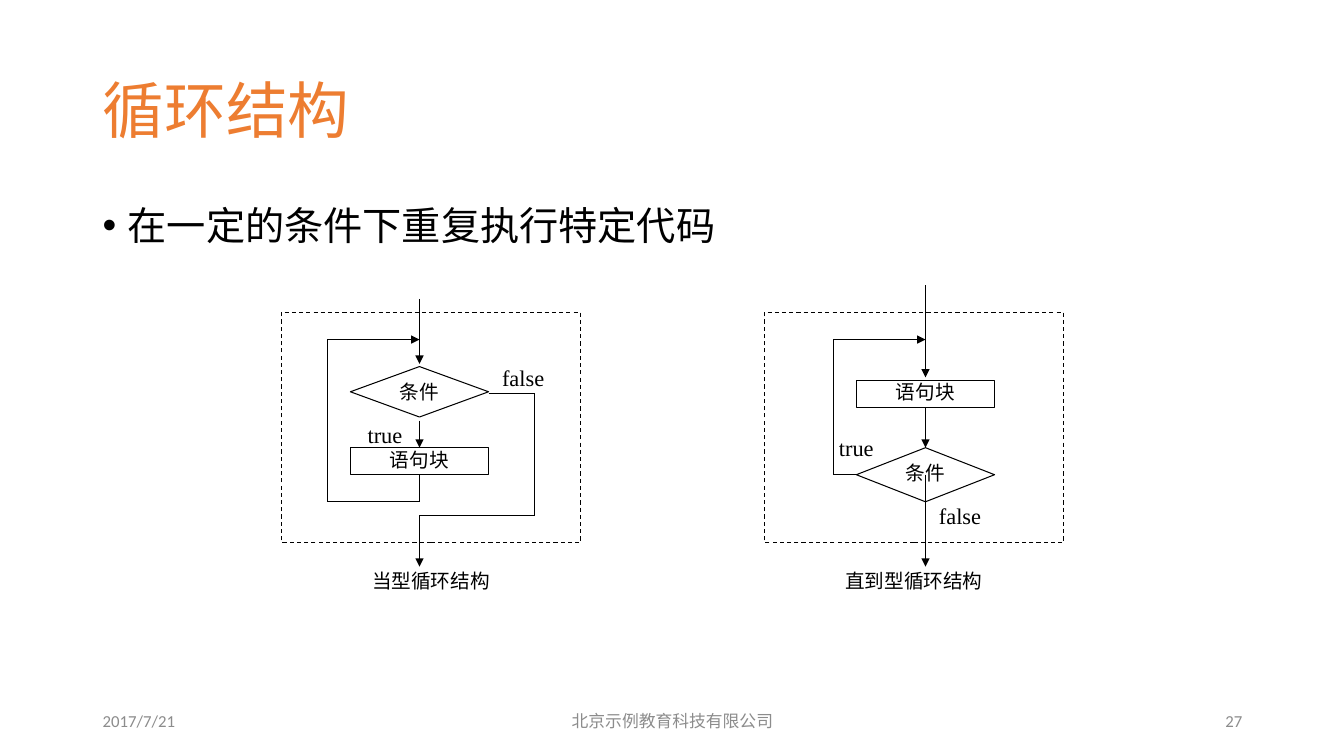
from lxml.etree import SubElement
from pptx import Presentation
from pptx.dml.color import RGBColor
from pptx.enum.dml import MSO_LINE
from pptx.enum.shapes import MSO_CONNECTOR, MSO_SHAPE
from pptx.enum.text import MSO_ANCHOR, PP_ALIGN
from pptx.oxml.ns import qn
from pptx.util import Inches, Pt

COLORS = {"title": "ED7D31", "ink": "000000", "footer": "8C8C8C"}
CHINESE_FONT = "Noto Sans CJK SC"
DIAGRAM_FONT = "Times New Roman"
TOP, LEFT, BOTTOM = 0, 1, 2
DIAGRAM_COLUMNS, DIAGRAM_ROWS = 13, 17


def inches(*lengths):
    return [Inches(length) for length in lengths]


def write(shape, text, size, color, font, align=PP_ALIGN.LEFT,
          anchor=MSO_ANCHOR.TOP, margin=None):
    frame = shape.text_frame
    frame.word_wrap = True
    frame.vertical_anchor = anchor
    if margin is not None:
        frame.margin_left = frame.margin_right = Inches(margin)
        frame.margin_top = frame.margin_bottom = Inches(margin)
    paragraph = frame.paragraphs[0]
    paragraph.text = text
    paragraph.alignment = align
    paragraph.font.size = Pt(size)
    paragraph.font.color.rgb = RGBColor.from_string(COLORS[color])
    paragraph.font.name = font
    properties = paragraph._p.pPr.find(qn("a:defRPr"))
    SubElement(properties, qn("a:ea")).set("typeface", CHINESE_FONT)
    return paragraph


class Flowchart:
    def __init__(self, slide, box):
        self.shapes = slide.shapes
        self.left, self.top, width, height = box
        self.column = width / DIAGRAM_COLUMNS
        self.row = height / DIAGRAM_ROWS

    def point(self, column, row):
        return inches(self.left + column * self.column, self.top + row * self.row)

    def area(self, column, row, columns, rows):
        return self.point(column, row) + inches(columns * self.column, rows * self.row)

    def outline(self, kind, cells, dashed=False):
        shape = self.shapes.add_shape(kind, *self.area(*cells))
        shape.shadow.inherit = False
        shape.fill.background()
        shape.line.color.rgb = RGBColor.from_string(COLORS["ink"])
        shape.line.width = Pt(0.75)
        if dashed:
            shape.line.dash_style = MSO_LINE.DASH
        return shape

    def label(self, text, cells, size=14, align=PP_ALIGN.CENTER):
        box = self.shapes.add_textbox(*self.area(*cells))
        write(box, text, size, "ink", DIAGRAM_FONT, align, margin=0)

    def frame(self, caption):
        self.outline(MSO_SHAPE.RECTANGLE, (0, 0, DIAGRAM_COLUMNS, DIAGRAM_ROWS), True)
        self.label(caption, (0, 19, DIAGRAM_COLUMNS, 2))

    def block(self, column, row):
        shape = self.outline(MSO_SHAPE.RECTANGLE, (column, row, 6, 2))
        write(shape, "语句块", 14, "ink", DIAGRAM_FONT, PP_ALIGN.CENTER, margin=0)
        return shape

    def condition(self, column, row, rows):
        diamond = self.outline(MSO_SHAPE.DIAMOND, (column, row, 6, rows))
        self.label("条件", (column, row + 1, 6, 3))
        return diamond

    def route(self, *points, arrow=True, start=None, end=None):
        connectors = []
        for first, second in zip(points, points[1:]):
            connector = self.shapes.add_connector(
                MSO_CONNECTOR.STRAIGHT, *self.point(*first), *self.point(*second))
            connector.line.color.rgb = RGBColor.from_string(COLORS["ink"])
            connector.line.width = Pt(0.75)
            connectors.append(connector)
        if start:
            connectors[0].begin_connect(*start)
        if end:
            connectors[-1].end_connect(*end)
        if arrow:
            line = connectors[-1].line._get_or_add_ln()
            SubElement(line, qn("a:tailEnd")).set("type", "triangle")
        for connector in connectors:
            SubElement(connector._element.spPr, qn("a:effectLst"))


def add_while_loop(slide, box):
    chart = Flowchart(slide, box)
    chart.condition(3, 4, 3.73)
    chart.label("true", (2, 8, 5, 2), 16)
    chart.label("false", (8, 3.8, 5, 2), 16)
    chart.frame("当型循环结构")
    block = chart.block(3, 10)
    chart.route((6, -1), (6, 3.8))
    chart.route((6, 8), (6, 10), end=(block, TOP))
    chart.route((6, 12), (6, 14), (2, 14), (2, 2), (6, 2), start=(block, BOTTOM))
    chart.route((9, 6), (11, 6), (11, 15), (6, 15), (6, 18.8))


def add_until_loop(slide, box):
    chart = Flowchart(slide, box)
    diamond = chart.condition(4, 10, 4)
    chart.label(" true", (3, 9, 4, 2), 16, PP_ALIGN.JUSTIFY)
    chart.label("false", (6, 14, 5, 2), 16)
    chart.frame("直到型循环结构")
    block = chart.block(4, 5)
    chart.route((7, -2), (7, 4.8))
    chart.route((7, 7), (7, 10), start=(block, BOTTOM), end=(diamond, TOP))
    chart.route((4, 12), (3, 12), (3, 2), (7, 2), start=(diamond, LEFT))
    chart.route((7, 12), (7, 18.8))


def add_title(slide, box):
    title = slide.shapes.title
    title.left, title.top, title.width, title.height = inches(*box)
    paragraph = write(title, "循环结构", 44, "title", CHINESE_FONT,
                      anchor=MSO_ANCHOR.MIDDLE)
    paragraph.line_spacing = 0.9


def add_body(slide, box):
    body = slide.shapes.add_textbox(*inches(*box))
    paragraph = body.text_frame.paragraphs[0]
    properties = paragraph._p.get_or_add_pPr()
    properties.set("marL", str(Inches(0.25)))
    properties.set("indent", str(-Inches(0.25)))
    SubElement(properties, qn("a:buFont")).set("typeface", "Arial")
    SubElement(properties, qn("a:buChar")).set("char", "•")
    write(body, "在一定的条件下重复执行特定代码", 28, "ink", CHINESE_FONT)
    paragraph.line_spacing = 0.9


def add_footer(slide, box):
    left, top, width, height = box
    parts = [
        ("2017/7/21", 0, 3, "Calibri", PP_ALIGN.LEFT),
        ("北京示例教育科技有限公司", (width - 4.5) / 2, 4.5, CHINESE_FONT, PP_ALIGN.CENTER),
        ("27", width - 3, 3, "Calibri", PP_ALIGN.RIGHT),
    ]
    for text, offset, part_width, font, align in parts:
        part = slide.shapes.add_textbox(*inches(left + offset, top, part_width, height))
        write(part, text, 12, "footer", font, align, MSO_ANCHOR.MIDDLE)


def main():
    presentation = Presentation()
    presentation.slide_width, presentation.slide_height = inches(13.33, 7.5)
    slide = presentation.slides.add_slide(presentation.slide_layouts[5])
    add_title(slide, (0.92, 0.4, 8.69, 1.45))
    add_body(slide, (0.92, 2, 11.5, 4.76))
    add_footer(slide, (0.92, 6.95, 11.5, 0.4))
    add_while_loop(slide, (2.79, 3.1, 2.97, 2.28))
    add_until_loop(slide, (7.58, 3.1, 2.97, 2.28))
    presentation.save("out.pptx")


if __name__ == "__main__":
    main()
